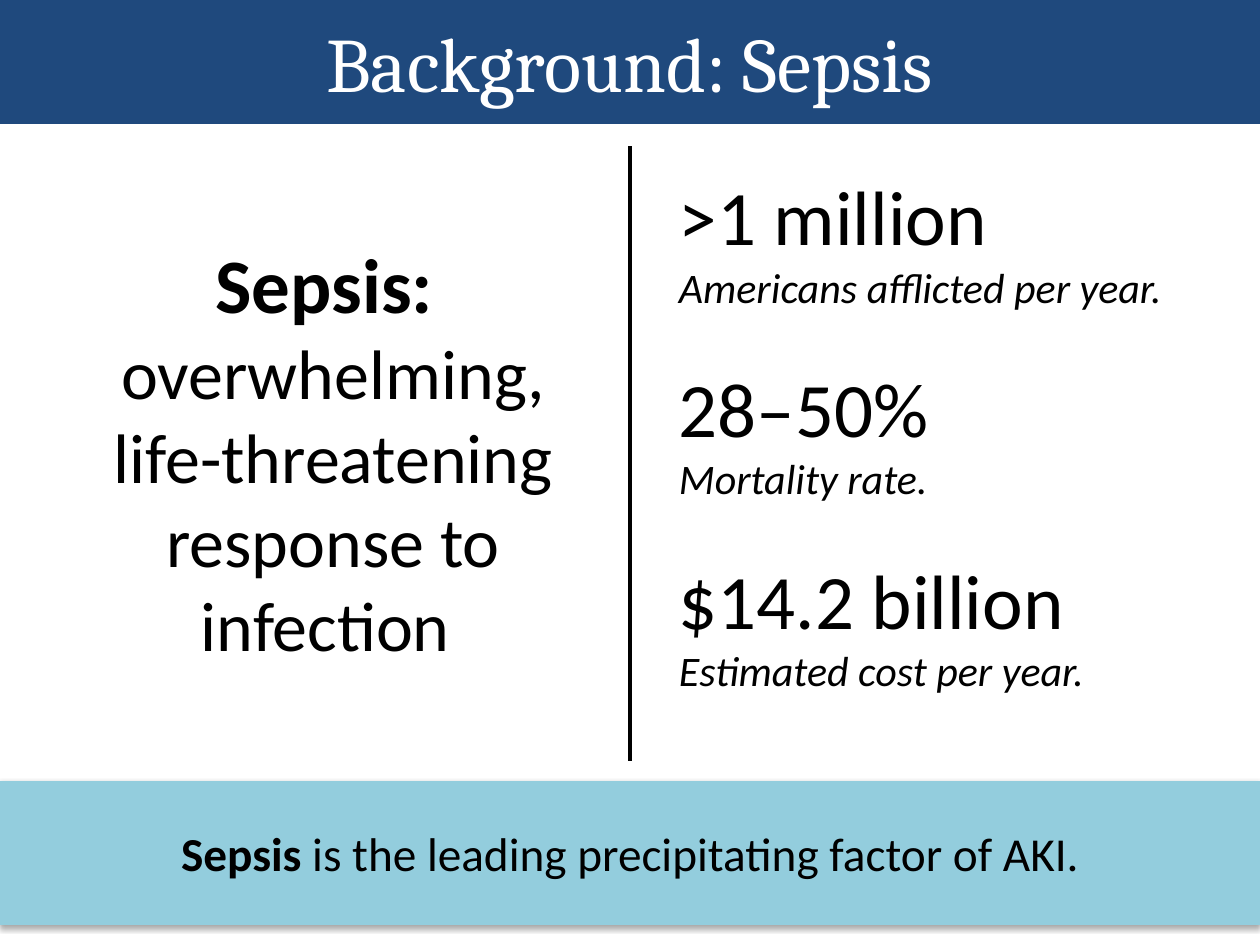
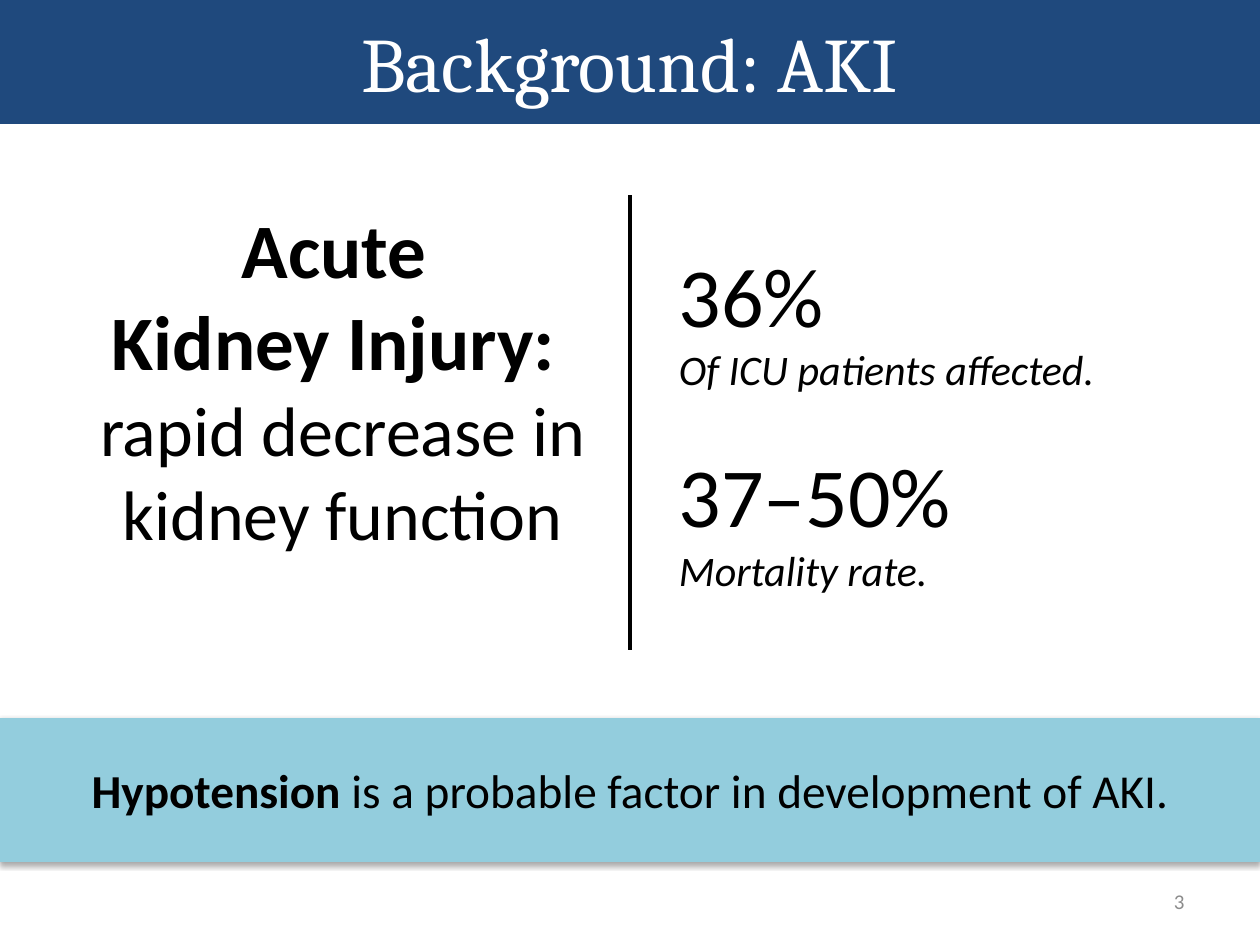
from lxml import etree
from pptx import Presentation
from pptx.dml.color import RGBColor
from pptx.enum.shapes import MSO_CONNECTOR, MSO_SHAPE
from pptx.enum.text import MSO_ANCHOR, PP_ALIGN
from pptx.oxml import parse_xml
from pptx.oxml.ns import nsdecls, qn
from pptx.util import Inches, Pt

STRAIGHT = MSO_CONNECTOR.STRAIGHT
RECTANGLE = MSO_SHAPE.RECTANGLE
TOP, MIDDLE = MSO_ANCHOR.TOP, MSO_ANCHOR.MIDDLE
LEFT, CENTER, RIGHT = PP_ALIGN.LEFT, PP_ALIGN.CENTER, PP_ALIGN.RIGHT

COLORS = {
    "navy": "1F497D",
    "sky": "93CDDD",
    "black": "000000",
    "white": "FFFFFF",
    "gray": "8C8C8C",
}
BODY_FONT, TITLE_FONT = "Calibri", "Cambria"
SLIDE_WIDTH, SLIDE_HEIGHT = 10, 7.5
TITLE_HEIGHT = 0.98
BAND_HEIGHT = 1.14
TAKEAWAY_INSET = 0.29
STAT_GAP = 28


def color(name):
    """Return the named palette colour."""
    return RGBColor.from_string(COLORS[name])


def add_span(para, text, size=24, font=BODY_FONT, ink="black", bold=False, italic=False):
    """Add formatted text to a paragraph, with a line break at each newline."""
    for index, line in enumerate(text.split("\n")):
        if index:
            para.add_line_break()
        span = para.add_run()
        span.text = line
        span.font.name = font
        span.font.size = Pt(size)
        span.font.bold = bold
        span.font.italic = italic
        span.font.color.rgb = color(ink)


def add_box(page, left, top, width, height, anchor=TOP):
    """Add an empty wrapping text box and return its text frame."""
    box = page.shapes.add_textbox(Inches(left), Inches(top), Inches(width), Inches(height))
    frame = box.text_frame
    frame.word_wrap = True
    frame.vertical_anchor = anchor
    return frame


def add_para(frame, align=LEFT, gap=0):
    """Return the next paragraph of a frame, using the empty first one if it is free."""
    first = frame.paragraphs[0]
    para = frame.add_paragraph() if first.runs else first
    para.alignment = align
    para.space_before = Pt(gap)
    return para


def add_band(page, top, height, fill):
    """Add a full-width coloured band without a shadow."""
    band = page.shapes.add_shape(
        RECTANGLE, 0, Inches(top), Inches(SLIDE_WIDTH), Inches(height))
    band.shadow.inherit = False
    band.fill.solid()
    band.fill.fore_color.rgb = color(fill)
    band.line.fill.background()
    return band


def add_soft_shadow(shape):
    """Give a shape a soft shadow that falls straight down."""
    effects = shape.element.spPr.find(qn("a:effectLst"))
    effects.append(parse_xml(
        f'<a:outerShdw {nsdecls("a")} blurRad="{Pt(3.1)}" dist="{Pt(1.8)}" '
        f'dir="5400000" rotWithShape="0"><a:srgbClr val="{COLORS["black"]}">'
        '<a:alpha val="35000"/></a:srgbClr></a:outerShdw>'))


def add_title(page, text):
    """Add the title band and its centred title."""
    band = add_band(page, 0, TITLE_HEIGHT, "navy")
    band.line.color.rgb = color("navy")
    band.line.width = Pt(0.75)
    frame = add_box(page, 0.5, 0, 9, TITLE_HEIGHT, MIDDLE)
    add_span(add_para(frame, CENTER), text, size=44, font=TITLE_FONT, ink="white")


def add_definition(page, place, term, meaning):
    """Add a bold term with its meaning below."""
    frame = add_box(page, *place)
    add_span(add_para(frame, CENTER), term, size=44, bold=True)
    add_span(add_para(frame, CENTER), meaning, size=40)


def add_stats(page, place, stats, size):
    """Add large figures, each with an italic caption."""
    frame = add_box(page, *place)
    for index, (figure, caption) in enumerate(stats):
        add_span(add_para(frame, gap=STAT_GAP if index else 0), figure, size=size)
        add_span(add_para(frame), caption, italic=True)


def add_divider(page, top, bottom):
    """Add the vertical line between the two columns."""
    middle = Inches(SLIDE_WIDTH / 2)
    line = page.shapes.add_connector(STRAIGHT, middle, Inches(top), middle, Inches(bottom))
    line.line.color.rgb = color("black")
    line.line.width = Pt(2)
    etree.SubElement(line.element.spPr, qn("a:effectLst"))


def add_takeaway(page, top, subject, statement):
    """Add the shadowed band with the key message."""
    add_soft_shadow(add_band(page, top, BAND_HEIGHT, "sky"))
    frame = add_box(page, 0, top + TAKEAWAY_INSET, SLIDE_WIDTH, 0.56)
    para = add_para(frame, CENTER)
    add_span(para, subject, size=27, bold=True)
    add_span(para, statement, size=27)


def add_page_number(page, number):
    """Add the page number at the lower right."""
    frame = add_box(page, 7.17, 6.95, 2.33, 0.4, MIDDLE)
    add_span(add_para(frame, RIGHT), number, size=12, ink="gray")


def add_page(deck, title):
    """Add a blank page with the shared title band."""
    page = deck.slides.add_slide(deck.slide_layouts[6])
    add_title(page, title)
    return page


def build_sepsis(deck):
    """Build the page on sepsis."""
    page = add_page(deck, "Background: Sepsis")
    stats = [
        (">1 million", "Americans afflicted per year."),
        ("28–50%", "Mortality rate."),
        ("$14.2 billion", "Estimated cost per year."),
    ]
    add_stats(page, (5.29, 1.29, 4.43, 4.75), stats, size=44)
    add_definition(page, (0.59, 1.83, 4.11, 3.53), "Sepsis: ",
                   "overwhelming, life-threatening response to infection ")
    add_divider(page, 1.16, 6.04)
    add_takeaway(page, 6.2, "Sepsis ", "is the leading precipitating factor of AKI.")


def build_kidney_injury(deck):
    """Build the page on acute kidney injury."""
    page = add_page(deck, "Background: AKI")
    add_page_number(page, "3")
    stats = [
        ("36%", "Of ICU patients affected."),
        ("37–50%", "Mortality rate."),
    ]
    add_stats(page, (5.29, 1.88, 4.43, 2.93), stats, size=48)
    add_definition(page, (0.62, 1.55, 4.2, 3.6), "Acute \nKidney Injury: ",
                   "rapid decrease in kidney function")
    add_divider(page, 1.55, 5.16)
    add_takeaway(page, 5.7, "Hypotension ", "is a probable factor in development of AKI.")


def main():
    """Build and save the deck."""
    deck = Presentation()
    deck.slide_width = Inches(SLIDE_WIDTH)
    deck.slide_height = Inches(SLIDE_HEIGHT)
    build_sepsis(deck)
    build_kidney_injury(deck)
    deck.save("out.pptx")


if __name__ == "__main__":
    main()
